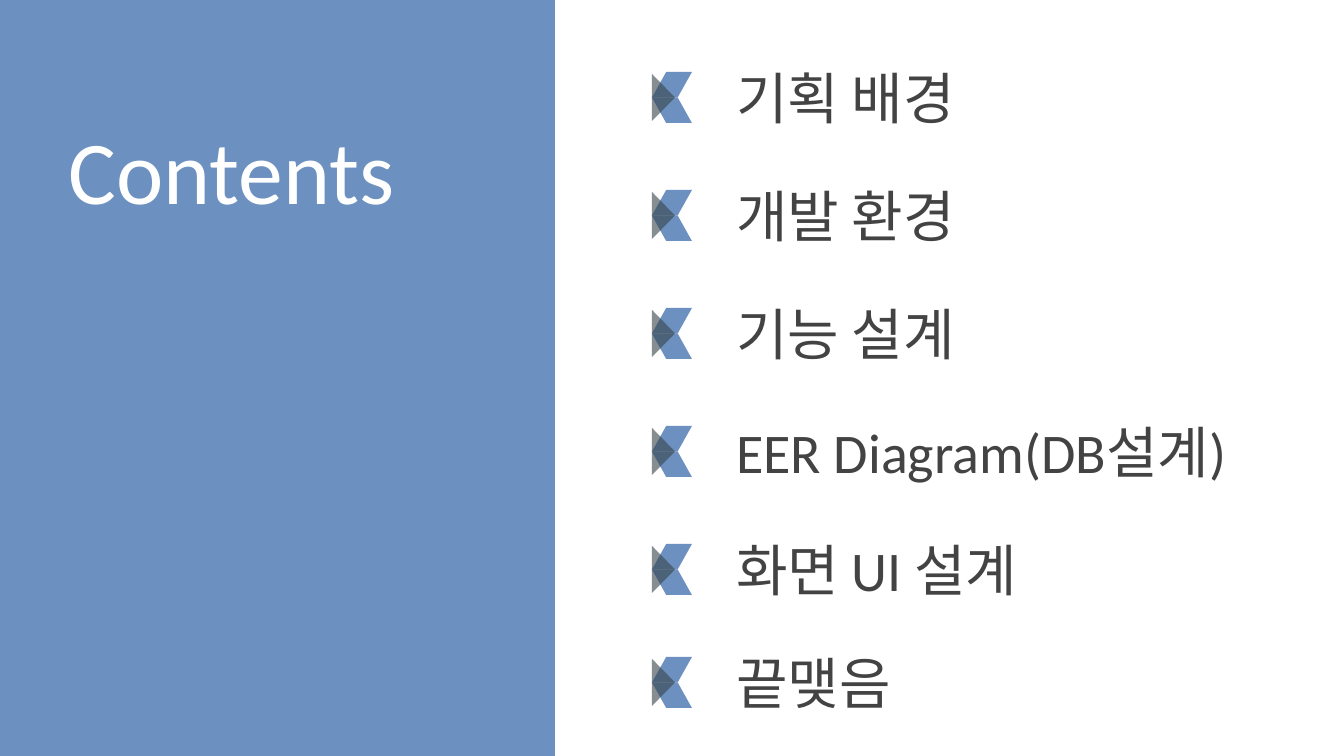
from lxml import etree
from pptx import Presentation
from pptx import util as u
from pptx.dml.color import RGBColor
from pptx.enum import shapes, text
from pptx.oxml.ns import qn

TITLE = "Contents"
TOPICS = [
    ("기획 배경", 72, 517),
    ("개발 환경", 190, 517),
    ("기능 설계", 308, 517),
    ("EER Diagram(DB설계)", 426, 585),
    ("화면 UI 설계", 544, 517),
    ("끝맺음", 657, 517),
]
COLORS = {"blue": "5E85B9", "slate": "38444A", "ink": "434343", "white": "FFFFFF"}
FONT = "Calibri"
SCALE = 914400 / 134.4
FOLD_LEFT, FOLD_W, FOLD_H = 652, 40, 25.5


def box(*lengths):
    return [u.Emu(round(length * SCALE)) for length in lengths]


def add_filled(parent, kind, bounds, color, alpha, adjustment=None):
    shape = parent.add_shape(kind, *box(*bounds))
    shape.shadow.inherit = False
    shape.fill.solid()
    shape.fill.fore_color.rgb = RGBColor.from_string(COLORS[color])
    srgb = shape.fill._xPr.find(qn("a:solidFill"))[0]
    etree.SubElement(srgb, qn("a:alpha"), val=str(alpha * 1000))
    shape.line.fill.background()
    if adjustment is not None:
        shape.adjustments[0] = adjustment
    return shape


def write(frame, words, size, color, anchor):
    frame.word_wrap = True
    frame.auto_size = text.MSO_AUTO_SIZE.NONE
    frame.vertical_anchor = anchor
    frame.margin_left = frame.margin_right = u.Inches(0.1)
    frame.margin_top = frame.margin_bottom = u.Inches(0.1)
    paragraph = frame.paragraphs[0]
    paragraph.alignment = text.PP_ALIGN.LEFT
    run = paragraph.add_run()
    run.text = words
    run.font.size = u.Pt(size)
    run.font.name = FONT
    run.font.color.rgb = RGBColor.from_string(COLORS[color])


def add_marker(slide, top):
    marker = slide.shapes.add_group_shape().shapes
    fold = shapes.MSO_SHAPE.PARALLELOGRAM
    add_filled(marker, fold, (FOLD_LEFT, top, FOLD_W, FOLD_H), "blue", 91, 0.56)
    lower = add_filled(marker, fold, (FOLD_LEFT, top + FOLD_H, FOLD_W, FOLD_H), "blue", 91, 0.56)
    lower._element.spPr.find(qn("a:xfrm")).set("flipH", "1")
    arrow = add_filled(marker, shapes.MSO_SHAPE.ISOSCELES_TRIANGLE,
                       (640, top + 14, 47, 23), "slate", 60, 0.5)
    arrow.rotation = 90


def main():
    deck = Presentation()
    deck.slide_width, deck.slide_height = box(1344, 756)
    slide = deck.slides.add_slide(deck.slide_layouts[5])

    panel = add_filled(slide.shapes, shapes.MSO_SHAPE.RECTANGLE, (0, 0, 555, 756), "blue", 91)
    title = slide.shapes.title
    title._element.addprevious(panel._element)
    title.left, title.top, title.width, title.height = box(55, 101, 527, 259)
    write(title.text_frame, TITLE, 48, "white", text.MSO_ANCHOR.TOP)

    for words, top, width in TOPICS:
        add_marker(slide, top)
        topic = slide.shapes.add_textbox(*box(723, top - 9, width, 69))
        write(topic.text_frame, words, 30, "ink", text.MSO_ANCHOR.MIDDLE)

    deck.save("out.pptx")


if __name__ == "__main__":
    main()
